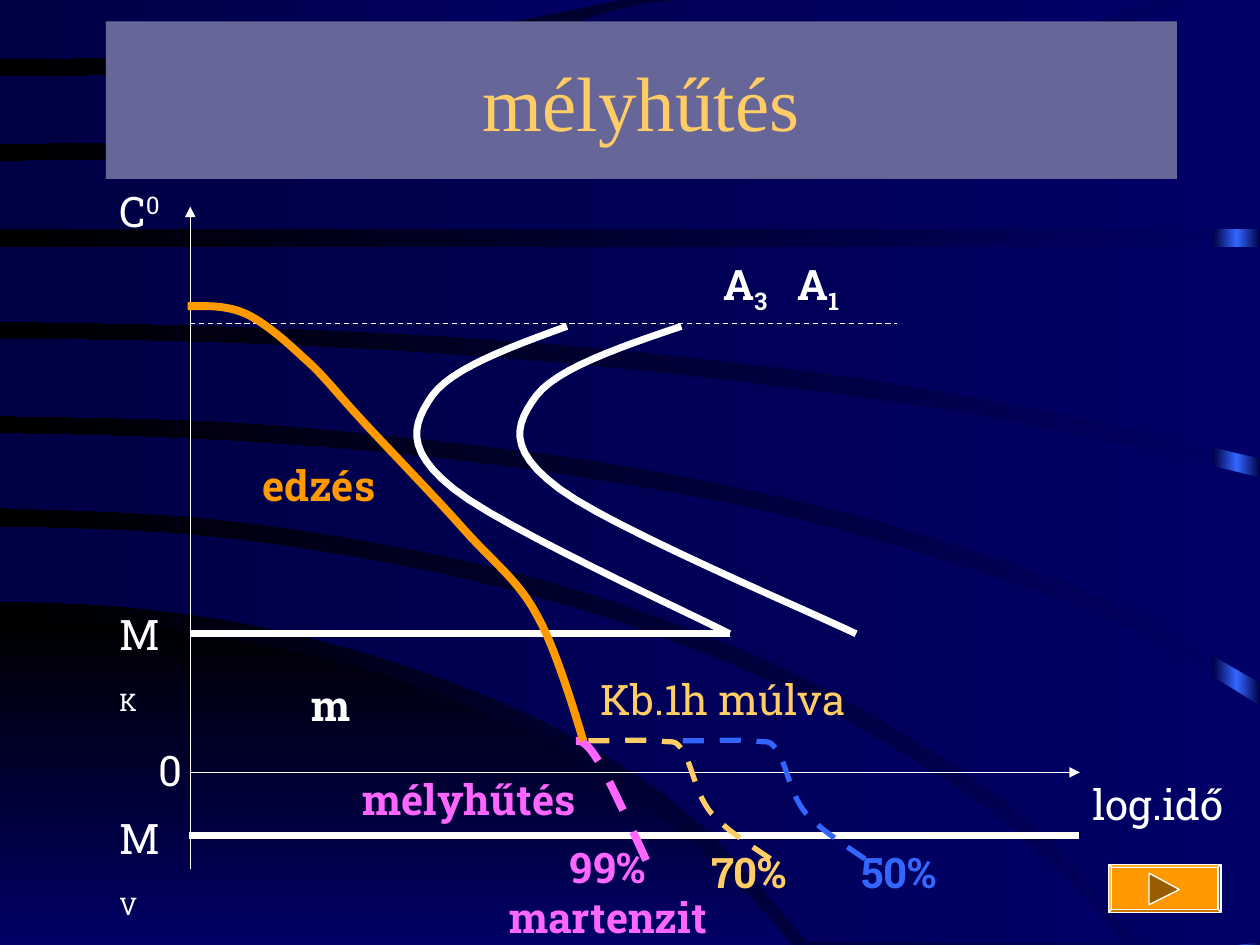
from copy import deepcopy

from pptx import Presentation
from pptx import util as u
from pptx.dml.color import RGBColor
from pptx.enum import dml, shapes, text
from pptx.oxml.ns import qn

# The slide is a grid of 10 columns by 7.5 rows; all places are (column, row)
CELL = u.Inches(1)
COLUMNS, ROWS = 10, 7.5
BODY, TITLE = "Roboto Slab", "Times New Roman"
COLORS = {
    "white": "FFFFFF", "black": "000000", "navy": "000066", "night": "000044",
    "blue": "3366FF", "gold": "FFCC66", "orange": "FF9900", "pink": "FF66FF",
    "panel": "666699", "brown": "995C00",
}

# Background bands: knots of the upper edge, then of the lower edge
CORNER = ([(0, 4.91), (1.12, 4.97), (2.18, 5.14), (3.27, 5.44), (4.25, 5.86),
           (5.28, 6.51), (5.96, 7.13), (6.28, 7.5)], [(0, 7.5), (6.25, 7.5)])
BANDS = [
    ([(0, 4.18), (1.3, 4.23), (2.49, 4.37), (3.82, 4.63), (5.15, 5.02),
      (6.44, 5.57), (7.66, 6.3), (8.33, 6.85), (8.93, 7.48)],
     [(0, 4.77), (1.05, 4.82), (2.21, 5), (3.42, 5.35), (4.54, 5.84),
      (5.53, 6.51), (6.42, 7.48)]),
    ([(0, 3.44), (1.44, 3.48), (2.89, 3.58), (4.26, 3.74), (5.7, 3.98),
      (6.93, 4.28), (8.18, 4.68), (9.04, 5.03), (10, 5.6)],
     [(0, 4.03), (1.4, 4.09), (2.67, 4.25), (4.05, 4.53), (5.21, 4.89),
      (6.36, 5.37), (7.56, 6.06), (8.38, 6.7), (9.09, 7.48), (10, 7.48)]),
    ([(0, 2.69), (1.68, 2.72), (3.49, 2.81), (5.23, 2.96), (7.14, 3.2),
      (8.59, 3.46), (10, 3.79)],
     [(0, 3.3), (1.67, 3.34), (3.03, 3.45), (4.62, 3.64), (6.1, 3.92),
      (7.43, 4.27), (8.81, 4.77), (10, 5.42)]),
    ([(0, 1.96), (10, 1.96)],
     [(0, 2.55), (1.86, 2.59), (3.89, 2.69), (5.52, 2.84), (7.02, 3.03),
      (8.65, 3.33), (10, 3.64)]),
    ([(0, 1.28), (1.57, 1.26), (3.29, 1.18), (5.08, 1.03), (6.84, 0.79),
      (8.03, 0.54), (8.92, 0.25), (9.43, -0.02), (10, -0.02)],
     [(0, 1.82), (10, 1.82)]),
    ([(0, 0.61), (1.21, 0.59), (2.67, 0.49), (4.16, 0.3), (5.56, -0.02),
      (9.17, -0.02)],
     [(0, 1.14), (1.77, 1.11), (3.41, 1.03), (5.04, 0.89), (6.48, 0.71),
      (7.72, 0.46), (8.54, 0.23), (9.17, -0.02)]),
    ([(0, -0.02), (5.01, -0.02)],
     [(0, 0.47), (1.37, 0.44), (2.53, 0.36), (3.99, 0.18), (5.01, -0.02)]),
]

# Bezier curves of the diagram: start, then two handles and an end per piece
START_CURVE = [(4.5, 2.59), (4.03, 2.76), (3.58, 2.93), (3.43, 3.14),
               (3.28, 3.36), (3.2, 3.56), (3.6, 3.88),
               (3.99, 4.19), (5.42, 4.84), (5.79, 5.03)]
DELAYED_COOLING = [(4.67, 5.88), (4.89, 5.88), (5.1, 5.87), (5.23, 5.88),
                   (5.35, 5.9), (5.35, 5.86), (5.42, 5.96),
                   (5.49, 6.06), (5.52, 6.31), (5.65, 6.46),
                   (5.78, 6.61), (6.1, 6.8), (6.19, 6.87)]
DEEP_COOLING = [(4.57, 5.88), (4.61, 5.88), (4.65, 5.88), (4.75, 6.04),
                (4.84, 6.19), (5.07, 6.7), (5.13, 6.83)]
QUENCHING = [(1.49, 2.43), (1.64, 2.43), (1.79, 2.42), (1.95, 2.49),
             (2.1, 2.56), (2.26, 2.7), (2.41, 2.84),
             (2.56, 2.97), (2.63, 3.07), (2.84, 3.3),
             (3.05, 3.53), (3.45, 3.94), (3.68, 4.2),
             (3.92, 4.47), (4.11, 4.6), (4.26, 4.88),
             (4.42, 5.16), (4.58, 5.72), (4.63, 5.88)]


def grid(*cells):
    return [int(CELL * cell) for cell in cells]


def rgb(name):
    return RGBColor.from_string(COLORS[name])


def bezier(points, steps=12):
    """Sample a chain of cubic pieces."""
    sampled = [points[0]]
    for i in range(0, len(points) - 1, 3):
        for step in range(1, steps + 1):
            t = step / steps
            weights = ((1 - t) ** 3, 3 * t * (1 - t) ** 2, 3 * t * t * (1 - t), t ** 3)
            sampled.append(tuple(sum(w * p[axis] for w, p in zip(weights, points[i:i + 4]))
                                 for axis in (0, 1)))
    return sampled


def smooth(knots):
    """Run a smooth curve through the knots."""
    ends = [knots[0], *knots, knots[-1]]
    chain = [knots[0]]
    for a, b, c, d in zip(ends, ends[1:], ends[2:], ends[3:]):
        chain += [tuple(b[k] + (c[k] - a[k]) / 6 for k in (0, 1)),
                  tuple(c[k] - (d[k] - b[k]) / 6 for k in (0, 1)), c]
    return bezier(chain, 4)


def paint_gradient(fill, names, angle):
    fill.gradient_angle = angle
    for stop, name in zip(fill.gradient_stops, names):
        stop.color.rgb = rgb(name)


def style_line(line, color, width, dashed=False):
    line.color.rgb = rgb(color)
    line.width = u.Pt(width)
    if dashed:
        line.dash_style = dml.MSO_LINE.DASH


def add_outline(slide, points, close):
    places = [grid(*point) for point in points]
    builder = slide.shapes.build_freeform(*places[0], scale=1.0)
    builder.add_line_segments(places[1:], close=close)
    outline = builder.convert_to_shape()
    outline.shadow.inherit = False
    return outline


def add_band(slide, edges, names, angle):
    upper, lower = edges
    band = add_outline(slide, smooth(upper) + smooth(lower)[::-1], True)
    band.line.fill.background()
    band.fill.gradient()
    paint_gradient(band.fill, names, angle)


def add_curve(slide, points, color, width, dashed=False):
    curve = add_outline(slide, bezier(points), False)
    curve.fill.background()
    style_line(curve.line, color, width, dashed)


def add_line(slide, start, end, width, dashed=False, arrow=False):
    line = slide.shapes.add_connector(shapes.MSO_CONNECTOR.STRAIGHT, *grid(*start, *end))
    style_line(line.line, "white", width, dashed)
    if arrow:
        stroke = line._element.spPr.find(qn("a:ln"))
        stroke.append(stroke.makeelement(qn("a:tailEnd"), {"type": "triangle"}))
    line._element.spPr.append(line._element.makeelement(qn("a:effectLst"), {}))


def add_label(slide, place, wording, color="white", bold=False, centered=True,
              wrap=False, base=None, base_shift=-25000):
    label = slide.shapes.add_textbox(*grid(*place))
    frame = label.text_frame
    frame.word_wrap = wrap
    frame.auto_size = text.MSO_AUTO_SIZE.SHAPE_TO_FIT_TEXT
    frame.text = wording
    if base:
        index = frame.paragraphs[0].add_run()
        index.text = base
        index.font._element.set("baseline", str(base_shift))
    for paragraph in frame.paragraphs:
        paragraph.alignment = text.PP_ALIGN.CENTER if centered else text.PP_ALIGN.LEFT
        font = paragraph.font
        font.name, font.size, font.bold = BODY, u.Pt(24), bold
        font.color.rgb = rgb(color)


def add_background(slide):
    backdrop = slide.background.fill
    backdrop.gradient()
    paint_gradient(backdrop, ["navy", "black"], 180)
    # Glowing strip at the right edge
    strip = slide.shapes.add_shape(shapes.MSO_SHAPE.RECTANGLE, *grid(9.63, 0, 0.37, ROWS))
    strip.shadow.inherit = False
    strip.line.fill.background()
    strip.fill.gradient()
    stops = strip._element.spPr.find(qn("a:gradFill")).find(qn("a:gsLst"))
    middle = deepcopy(stops[0])
    middle.set("pos", "50000")
    stops.insert(1, middle)
    paint_gradient(strip.fill, ["night", "blue", "night"], 180)
    # Sweeping bands
    add_band(slide, CORNER, ["black", "navy"], 270)
    for edges in BANDS:
        add_band(slide, edges, ["navy", "night"], 180)


def add_title(slide):
    title = slide.shapes.add_textbox(*grid(0.84, 0.17, 8.5, 1.25))
    title.fill.solid()
    title.fill.fore_color.rgb = rgb("panel")
    frame = title.text_frame
    frame.word_wrap = True
    frame.vertical_anchor = text.MSO_ANCHOR.MIDDLE
    frame.text = "mélyhűtés"
    heading = frame.paragraphs[0]
    heading.alignment = text.PP_ALIGN.CENTER
    heading.font.name, heading.font.size = TITLE, u.Pt(44)
    heading.font.color.rgb = rgb("gold")


def add_next_button(slide):
    button = slide.shapes.add_shape(shapes.MSO_SHAPE.BEVEL, *grid(8.8, 6.86, 0.89, 0.38))
    button.adjustments[0] = 0.06
    button.shadow.inherit = False
    arrow = add_outline(slide, [(9.12, 6.93), (9.36, 7.06), (9.12, 7.18)], True)
    for part, color in ((button, "orange"), (arrow, "brown")):
        part.fill.solid()
        part.fill.fore_color.rgb = rgb(color)
        style_line(part.line, "white", 0.75)


def main():
    deck = Presentation()
    deck.slide_width, deck.slide_height = grid(COLUMNS, ROWS)
    slide = deck.slides.add_slide(deck.slide_layouts[6])
    add_background(slide)

    # Axes and temperature levels
    add_line(slide, (1.51, 6.13), (8.57, 6.13), 0.75, arrow=True)
    add_line(slide, (1.51, 6.9), (1.51, 1.64), 0.75, arrow=True)
    add_line(slide, (1.51, 2.57), (7.12, 2.57), 0.75, dashed=True)
    add_line(slide, (1.5, 6.63), (8.56, 6.63), 4)
    add_line(slide, (1.51, 5.03), (5.79, 5.03), 4)

    # Start and end of transformation
    add_curve(slide, START_CURVE, "white", 4)
    add_curve(slide, [(4.01 + (x - 3.2) * 1.075, y) for x, y in START_CURVE], "white", 4)

    # Axis labels
    add_label(slide, (8.57, 6.13, 1.26, 0.5), "log.idő", centered=False)
    for row, base in ((4.78, "K"), (6.4, "V")):
        add_label(slide, (0.85, row, 0.64, 0.56), "M", centered=False, wrap=True, base=base)
    add_label(slide, (0.85, 1.42, 0.56, 0.5), "C", centered=False, base="0", base_shift=30000)
    add_title(slide)
    for column, base in ((5.63, "3"), (6.21, "1")):
        add_label(slide, (column, 2, 0.57, 0.56), "A", bold=True, base=base)

    # Cooling after a delay, and at once
    add_curve(slide, DELAYED_COOLING, "gold", 3, dashed=True)
    add_curve(slide, [(x + 0.75, y) for x, y in DELAYED_COOLING], "blue", 3, dashed=True)
    add_curve(slide, DEEP_COOLING, "pink", 4.5, dashed=True)

    # Diagram labels
    for place, wording, color, bold in (
            ((3.87, 6.63, 1.91, 0.9), "99%\nmartenzit", "pink", True),
            ((5.47, 6.67, 0.95, 0.5), "70%", "gold", True),
            ((6.66, 6.67, 0.95, 0.5), "50%", "blue", True),
            ((2.36, 5.34, 0.53, 0.5), "m", "white", True),
            ((1.15, 5.86, 0.4, 0.5), "0", "white", False),
            ((1.95, 3.6, 1.16, 0.5), "edzés", "orange", True),
            ((2.72, 6.09, 2.01, 0.5), "mélyhűtés", "pink", True),
            ((4.59, 5.3, 2.29, 0.5), "Kb.1h múlva", "gold", False)):
        add_label(slide, place, wording, color, bold)

    add_curve(slide, QUENCHING, "orange", 4.5)
    add_next_button(slide)
    deck.save("out.pptx")


if __name__ == "__main__":
    main()
